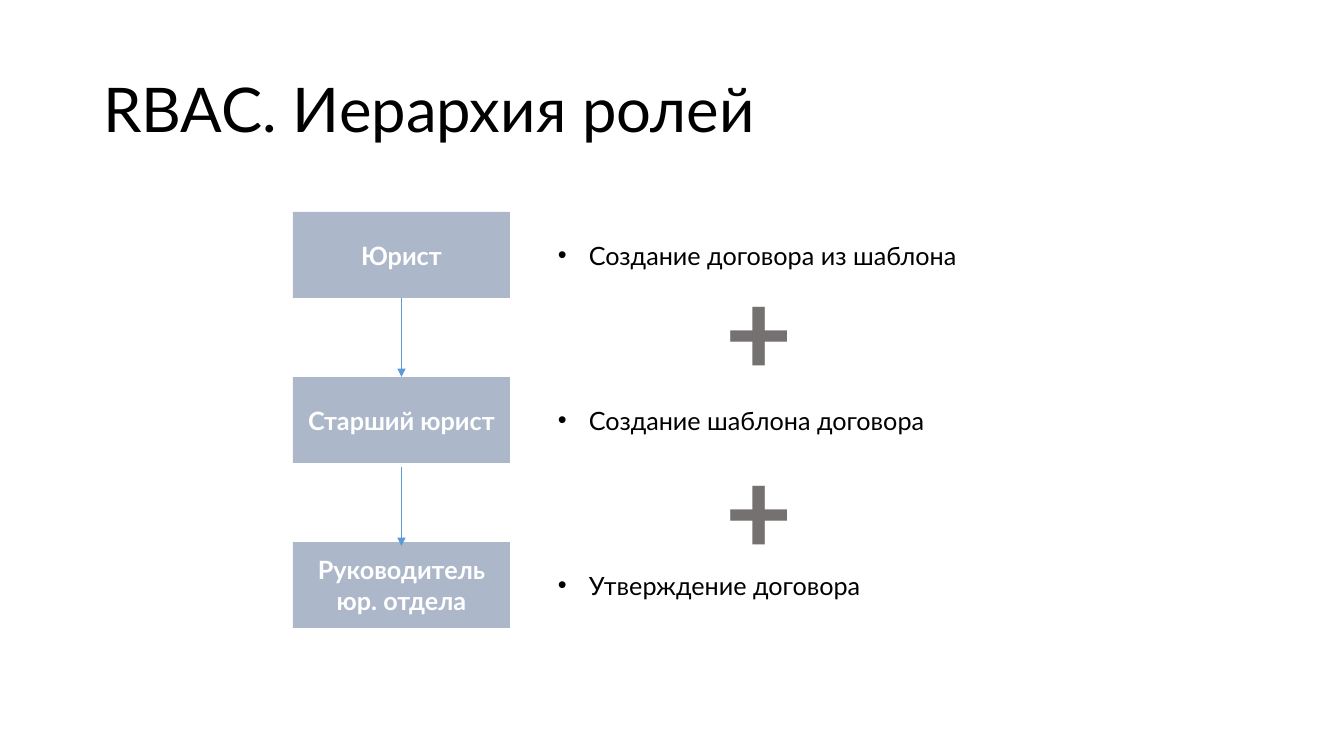
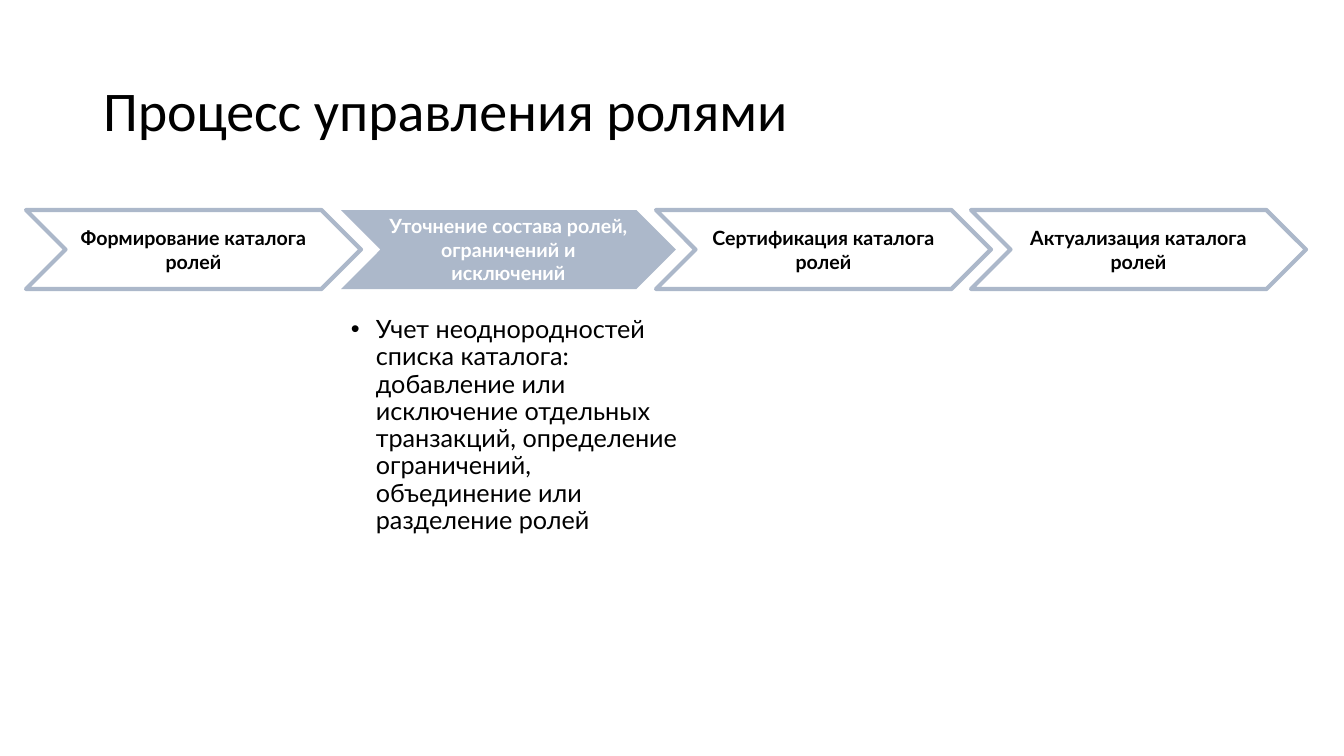
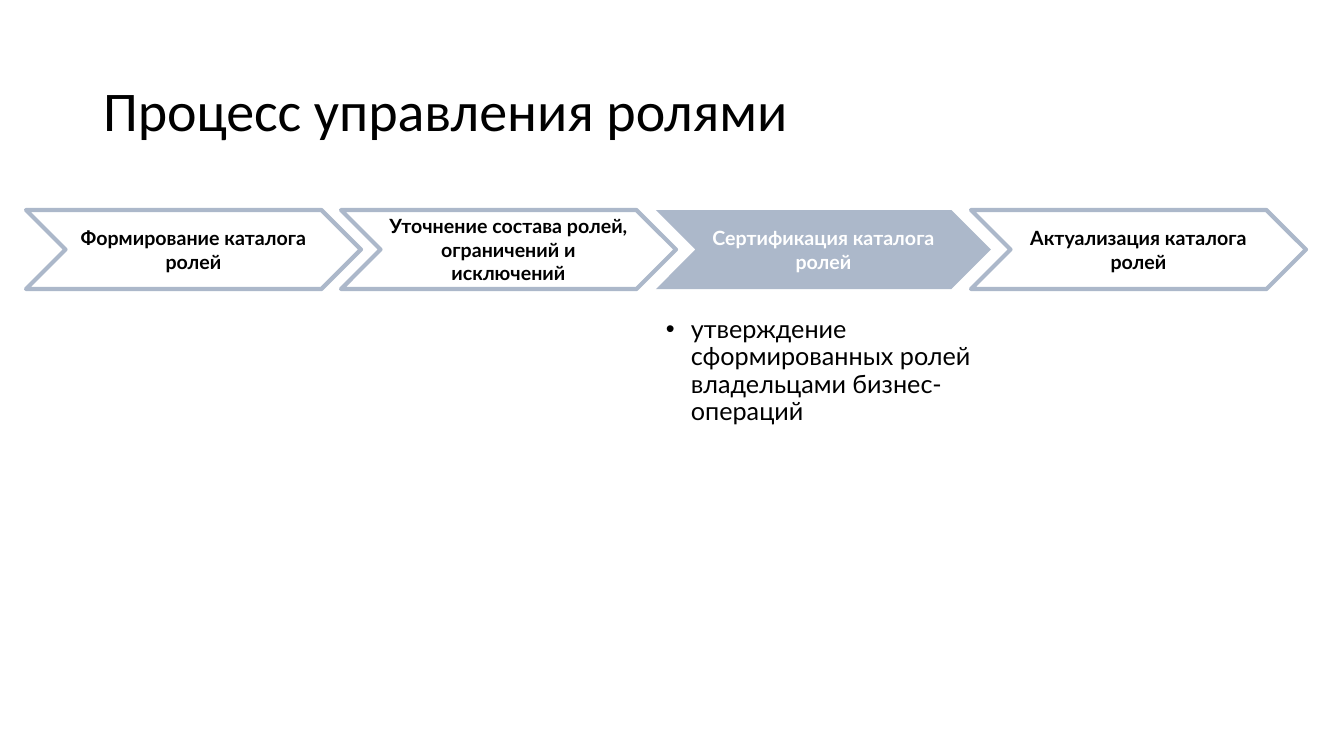
import lxml.etree
import pptx
import pptx.dml.color
import pptx.enum.shapes
import pptx.enum.text
import pptx.oxml.ns
import pptx.util

SCALE = 914400 / 100.8
BLUE, ARROW, GREY, BLACK, WHITE = "ACB8CA", "5B9BD5", "767171", "000000", "FFFFFF"
SHAPE = pptx.enum.shapes.MSO_SHAPE
ALIGN = pptx.enum.text.PP_ALIGN
MIDDLE = pptx.enum.text.MSO_ANCHOR.MIDDLE
FIT = pptx.enum.text.MSO_AUTO_SIZE
STEPS = [
    "Формирование каталога ролей",
    "Уточнение состава ролей, ограничений и исключений",
    "Сертификация каталога ролей",
    "Актуализация каталога ролей",
]
ROLES = [
    ("Юрист", "Создание договора из шаблона", 422),
    ("Старший юрист", "Создание шаблона договора", 388),
    ("Руководитель юр. отдела", "Утверждение договора", 323),
]


def px(*sizes):
    """Turn pixels into EMU."""
    return [pptx.util.Emu(round(size * SCALE)) for size in sizes]


def color(code):
    """Turn a hex string into a colour."""
    return pptx.dml.color.RGBColor.from_string(code)


def add_tag(parent, name, **attrs):
    """Append one drawing element."""
    return lxml.etree.SubElement(parent, pptx.oxml.ns.qn(name), **attrs)


def write(para, text, size, code=BLACK, font="Lato", bold=False):
    """Add one styled run."""
    run = para.add_run()
    run.text = text
    run.font.size = pptx.util.Pt(size)
    run.font.name = font
    run.font.bold = bold
    run.font.color.rgb = color(code)


def add_title(deck, text, size, font):
    """Start a slide with its title."""
    slide = deck.slides.add_slide(deck.slide_layouts[5])
    title = slide.shapes.title
    title.left, title.top, title.width, title.height = px(93, 40, 1159, 146)
    frame = title.text_frame
    frame.auto_size = FIT.NONE
    frame.vertical_anchor = MIDDLE
    para = frame.paragraphs[0]
    para.alignment = ALIGN.LEFT
    para.line_spacing = 0.9
    write(para, text, size, font=font)
    return slide


def add_block(slide, kind, box, text, size, solid=True, inset=10):
    """Draw a filled or outlined shape with a bold label."""
    block = slide.shapes.add_shape(kind, *px(*box))
    block.shadow.inherit = False
    if solid:
        block.fill.solid()
        block.fill.fore_color.rgb = color(BLUE)
        block.line.fill.background()
    else:
        block.fill.background()
        block.line.color.rgb = color(BLUE)
        block.line.width = pptx.util.Pt(3)
    frame = block.text_frame
    frame.word_wrap = True
    frame.vertical_anchor = MIDDLE
    frame.margin_left, frame.margin_right = px(inset, inset)
    para = frame.paragraphs[0]
    para.alignment = ALIGN.CENTER
    write(para, text, size, WHITE if solid else BLACK, bold=True)


def add_text(slide, box, wrap=False):
    """Add a text box and return its first paragraph."""
    frame = slide.shapes.add_textbox(*px(*box)).text_frame
    frame.word_wrap = wrap
    frame.auto_size = FIT.NONE if wrap else FIT.SHAPE_TO_FIT_TEXT
    return frame.paragraphs[0]


def add_bullet(slide, box, text, indent, wrap=False):
    """Add a text box with one bullet."""
    para = add_text(slide, box, wrap)
    if wrap:
        para.line_spacing = 0.9
    props = para._p.get_or_add_pPr()
    room = px(indent)[0]
    props.set("marL", str(room))
    props.set("indent", str(-room))
    add_tag(props, "a:buFont", typeface="Arial")
    add_tag(props, "a:buChar", char="•")
    write(para, text, 18)


def add_arrow(slide, x, top, end):
    """Draw a thin arrow pointing down."""
    kind = pptx.enum.shapes.MSO_CONNECTOR.STRAIGHT
    arrow = slide.shapes.add_connector(kind, *px(x, top, x, end))
    arrow.line.color.rgb = color(ARROW)
    arrow.line.width = pptx.util.Pt(0.5)
    add_tag(arrow.line._get_or_add_ln(), "a:tailEnd", type="triangle")
    add_tag(arrow._element.spPr, "a:effectLst")


def add_roles(slide, left, top):
    """Stack the roles with the rights each one adds."""
    wide, high, step = 217, 86, 165
    for row, (role, right, room) in enumerate(ROLES):
        y = top + row * step
        add_block(slide, SHAPE.RECTANGLE, (left, y, wide, high), role, 18)
        add_bullet(slide, (left + 255, y + 23, room, 40), right, 31)
    for gap in range(len(ROLES) - 1):
        start = top + high + gap * 169
        add_arrow(slide, left + wide / 2, start, start + 79)
        para = add_text(slide, (left + 426, top + 35 + gap * 179, 83, 159))
        write(para, "+", 88, GREY, "Calibri", True)


def add_steps(slide, left, top, active, note):
    """Lay out the chain of steps with a note under the active one."""
    wide, high, pitch = 335, 79, 315
    for col, text in enumerate(STEPS):
        box = (left + col * pitch, top, wide, high)
        add_block(slide, SHAPE.CHEVRON, box, text, 14, col == active, 4)
    box = (left + active * pitch, top + 102, 357, 164)
    add_bullet(slide, box, note, 25, True)


def main():
    """Build the deck."""
    deck = pptx.Presentation()
    deck.slide_width, deck.slide_height = px(1344, 756)
    add_roles(add_title(deck, "RBAC. Иерархия ролей", 44, "Lato"), 293, 212)
    notes = {
        1: "Учет неоднородностей списка каталога: добавление или исключение "
           "отдельных транзакций, определение ограничений, объединение или "
           "разделение ролей",
        2: "утверждение сформированных ролей владельцами бизнес-операций",
    }
    for active, note in notes.items():
        slide = add_title(deck, "Процесс управления ролями", 40, "Calibri")
        add_steps(slide, 26, 210, active, note)
    deck.save("out.pptx")


main()
